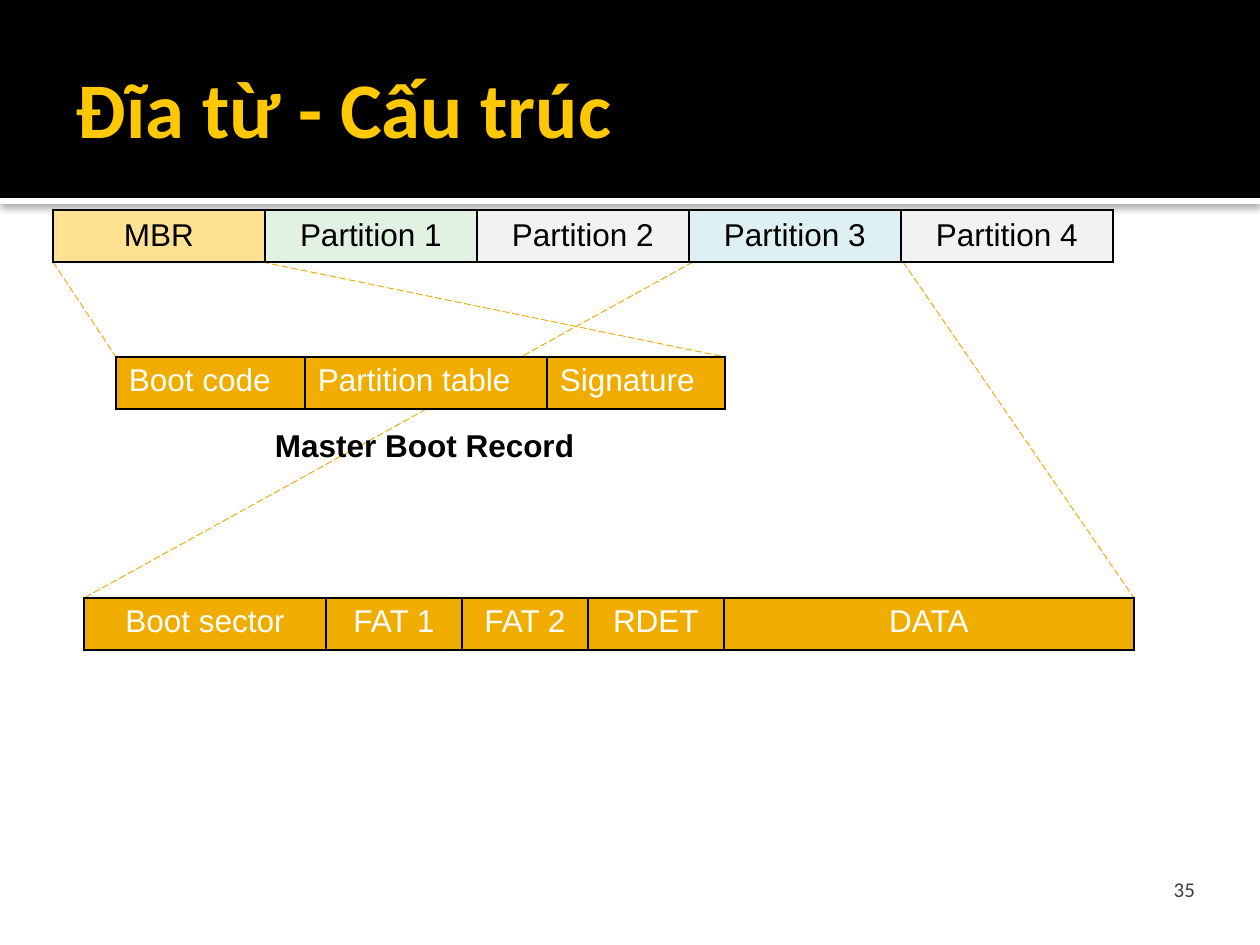
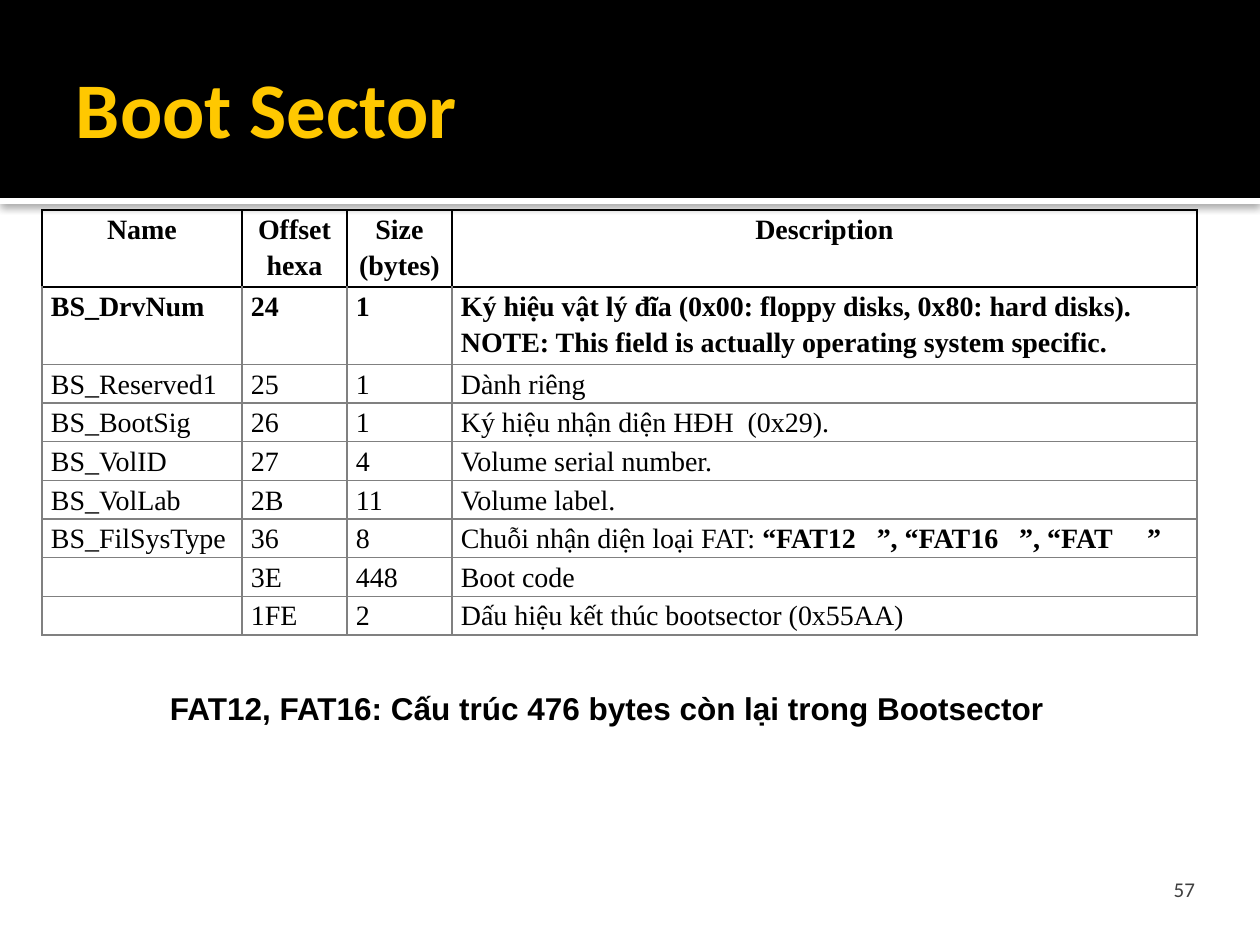
from lxml import etree
from pptx import Presentation
from pptx.dml.color import RGBColor
from pptx.enum.dml import MSO_LINE
from pptx.enum.shapes import MSO_CONNECTOR, MSO_SHAPE
from pptx.enum.text import MSO_ANCHOR, PP_ALIGN
from pptx.oxml.ns import qn
from pptx.util import Pt

PX = 914400 / 126
BLACK = RGBColor(0x00, 0x00, 0x00)
WHITE = RGBColor(0xFF, 0xFF, 0xFF)
YELLOW = RGBColor(0xFF, 0xC8, 0x00)
AMBER = RGBColor(0xF0, 0xAD, 0x00)
DARK_AMBER = RGBColor(0xEB, 0xA9, 0x00)
PALE_AMBER = RGBColor(0xFF, 0xE1, 0x93)
PALE_GREEN = RGBColor(0xE1, 0xF1, 0xE2)
PALE_GREY = RGBColor(0xF2, 0xF2, 0xF2)
PALE_BLUE = RGBColor(0xDF, 0xF0, 0xF5)
GREY = RGBColor(0x80, 0x80, 0x80)
DARK_GREY = RGBColor(0x3F, 0x3F, 0x3F)

LEFT, CENTER, RIGHT = PP_ALIGN.LEFT, PP_ALIGN.CENTER, PP_ALIGN.RIGHT
TOP, MIDDLE, BOTTOM = MSO_ANCHOR.TOP, MSO_ANCHOR.MIDDLE, MSO_ANCHOR.BOTTOM
RECTANGLE, STRAIGHT = MSO_SHAPE.RECTANGLE, MSO_CONNECTOR.STRAIGHT
LONG_DASH = MSO_LINE.LONG_DASH


def px(*lengths):
    return [round(length * PX) for length in lengths]


def write_text(holder, text, bold_tail="", font="Arial", size=18, color=BLACK, bold=False,
               align=LEFT, anchor=TOP, insets=(13, 6, 13, 6), spacing=None, wrap=True):
    """Fill a cell or text frame: \\n starts a paragraph, \\v breaks a line."""
    frame = getattr(holder, "text_frame", holder)
    holder.vertical_anchor = anchor
    holder.margin_left, holder.margin_top, holder.margin_right, holder.margin_bottom = px(*insets)
    frame.word_wrap = wrap
    for index, line in enumerate(text.split("\n")):
        paragraph = frame.add_paragraph() if index else frame.paragraphs[0]
        paragraph.alignment = align
        paragraph.line_spacing = spacing
        paragraph.text = line
        if not line:
            paragraph.add_run()
        plain_count = len(paragraph.runs)
        if bold_tail:
            paragraph.add_run().text = bold_tail
        for position, run in enumerate(paragraph.runs):
            run.font.name = font
            run.font.size = Pt(size)
            run.font.bold = bold or position >= plain_count
            run.font.color.rgb = color


presentation = Presentation()
presentation.slide_width, presentation.slide_height = px(1260, 945)

# Shared bands, title and slide number
slides = []
for title, number in (("Đĩa từ - Cấu trúc", "35"), ("Boot Sector", "57")):
    slide = presentation.slides.add_slide(presentation.slide_layouts[6])
    slides.append(slide)
    for top, height, color in ((198, 6, WHITE), (0, 198, BLACK)):
        band = slide.shapes.add_shape(RECTANGLE, *px(0, top, 1260, height))
        band.shadow.inherit = False
        band.fill.solid()
        band.fill.fore_color.rgb = color
        band.line.fill.background()
        if color == WHITE:
            effects = band._element.spPr.find(qn("a:effectLst"))
            shadow = etree.SubElement(effects, qn("a:outerShdw"), blurRad=str(Pt(5)),
                                      dist=str(Pt(0.8)), dir="5400000", rotWithShape="0")
            shadow_color = etree.SubElement(shadow, qn("a:srgbClr"), val=str(BLACK))
            etree.SubElement(shadow_color, qn("a:alpha"), val="60000")
    title_box = slide.shapes.add_textbox(*px(63, 21, 1134, 173))
    write_text(title_box.text_frame, title, font="Calibri", size=45, color=YELLOW, bold=True,
               anchor=MIDDLE, insets=(13, 6, 6, 6))
    number_box = slide.shapes.add_textbox(*px(1124, 830, 84, 72))
    write_text(number_box.text_frame, number, font="Calibri", size=12, color=DARK_GREY,
               align=RIGHT, anchor=BOTTOM, insets=(13, 6, 13, 0))

disk_slide, boot_slide = slides

# Dashed lines from a disk area to its detail
for ends in ((693, 262, 84, 598), (53, 262, 116, 357),
             (262, 262, 725, 357), (903, 262, 1134, 598)):
    zoom_line = disk_slide.shapes.add_connector(STRAIGHT, *px(*ends))
    zoom_line.line.color.rgb = DARK_AMBER
    zoom_line.line.width = Pt(0.5)
    zoom_line.line.dash_style = LONG_DASH
    etree.SubElement(zoom_line._element.spPr, qn("a:effectLst"))

# Every table: slide, left, top, column widths, row heights, rows of text
partition_fills = (PALE_AMBER, PALE_GREEN, PALE_GREY, PALE_BLUE, PALE_GREY)
boot_fields = (
    ("Name", "Offset\nhexa", "Size (bytes)", "Description"),
    ("BS_DrvNum", "24", "1", "Ký hiệu vật lý đĩa (0x00: floppy disks, 0x80: hard disks). \v"
                             "NOTE: This field is actually operating system specific."),
    ("BS_Reserved1", "25", "1", "Dành riêng"),
    ("BS_BootSig", "26", "1", "Ký hiệu nhận diện HĐH  (0x29)."),
    ("BS_VolID", "27", "4", "Volume serial number."),
    ("BS_VolLab", "2B", "11", "Volume label."),
    ("BS_FilSysType", "36", "8", "Chuỗi nhận diện loại FAT: "),
    ("", "3E", "448", "Boot code"),
    ("", "1FE", "2", "Dấu hiệu kết thúc bootsector (0x55AA)"),
)
bold_tails = {"Chuỗi nhận diện loại FAT: ": "“FAT12   ”, “FAT16   ”, “FAT     ”"}
tables = (
    (disk_slide, 53, 210, [212] * 5, [52],
     [("MBR", "Partition 1", "Partition 2", "Partition 3", "Partition 4")],
     partition_fills, dict(align=CENTER, anchor=MIDDLE)),
    (disk_slide, 116, 357, [189, 242, 178], [52],
     [("Boot code", "Partition table", "Signature")],
     [AMBER] * 3, dict(color=WHITE)),
    (disk_slide, 84, 598, [242, 136, 126, 136, 410], [52],
     [("Boot sector", "FAT 1", "FAT 2", "RDET", "DATA")],
     [AMBER] * 5, dict(color=WHITE, align=CENTER)),
    (boot_slide, 42, 210, [200, 105, 105, 745], [71] * 2 + [35] * 7, boot_fields,
     [None] * 4, dict(font="Times New Roman", size=16, insets=(9, 0, 9, 0), spacing=1.15)),
)
for slide, left, top, widths, heights, rows, fills, text_format in tables:
    frame = slide.shapes.add_table(len(rows), len(widths),
                                   *px(left, top, sum(widths), sum(heights)))
    table = frame.table
    table.first_row = table.horz_banding = False
    for column, width in zip(table.columns, px(*widths)):
        column.width = width
    for row, height in zip(table.rows, px(*heights)):
        row.height = height
    for row_index, texts in enumerate(rows):
        for column_index, (text, fill) in enumerate(zip(texts, fills)):
            cell = table.cell(row_index, column_index)
            cell_format = dict(text_format)
            if slide is boot_slide:
                cell_format["bold"] = row_index < 2
                cell_format["align"] = LEFT if row_index else CENTER
            write_text(cell, text, bold_tails.get(text, ""), **cell_format)
            for side in ("lnL", "lnR", "lnT", "lnB"):
                header_edge = row_index == 0 or (row_index == 1 and side == "lnT")
                border = etree.SubElement(cell._tc.get_or_add_tcPr(), qn(f"a:{side}"),
                                          w=str(Pt(1)))
                border_fill = etree.SubElement(border, qn("a:solidFill"))
                etree.SubElement(border_fill, qn("a:srgbClr"),
                                 val=str(BLACK if header_edge else GREY))
            if fill is None:
                cell.fill.background()
            else:
                cell.fill.solid()
                cell.fill.fore_color.rgb = fill

# Captions under the tables
for slide, box, caption in (
        (disk_slide, (262, 420, 328, 50), "Master Boot Record"),
        (boot_slide, (157, 683, 907, 50),
         "FAT12, FAT16: Cấu trúc 476 bytes còn lại trong Bootsector")):
    caption_box = slide.shapes.add_textbox(*px(*box))
    write_text(caption_box.text_frame, caption, bold=True, wrap=False)

presentation.save("out.pptx")
